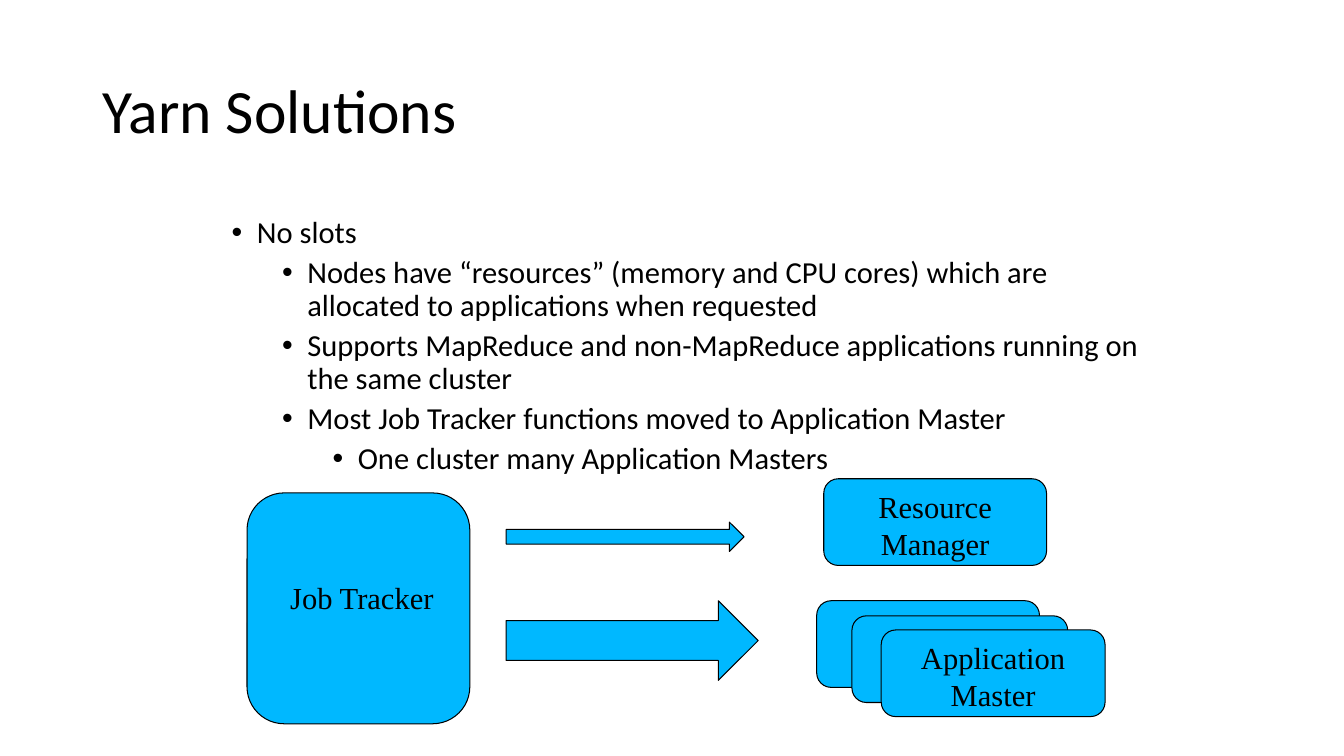
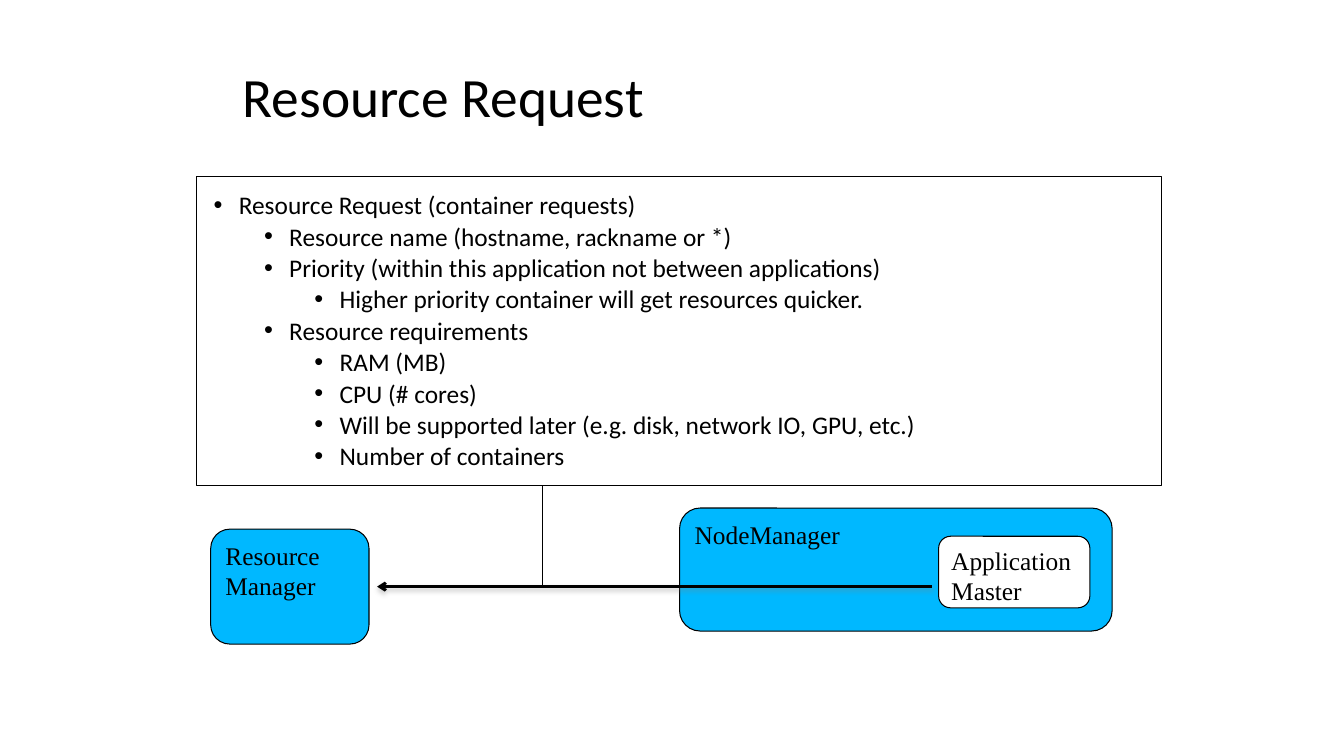
from lxml import etree
from pptx import Presentation
from pptx.dml.color import RGBColor
from pptx.enum import shapes, text
from pptx.oxml import ns
from pptx.util import Inches, Pt

BLACK = RGBColor(0x00, 0x00, 0x00)
WHITE = RGBColor(0xFF, 0xFF, 0xFF)
BLUE = RGBColor(0x00, 0xB8, 0xFF)
SHADOW = "808080"
BODY_FONT = "Calibri"
LABEL_FONT = "Times New Roman"
THIN = Pt(0.75)
ROUNDED = shapes.MSO_SHAPE.ROUNDED_RECTANGLE
ARROW = shapes.MSO_SHAPE.RIGHT_ARROW
CENTER = text.PP_ALIGN.CENTER
LEFT = text.PP_ALIGN.LEFT

SOLUTIONS = [
    (0, "No slots"),
    (1, "Nodes have “resources” (memory and CPU cores) which are allocated to applications when requested"),
    (1, "Supports MapReduce and non-MapReduce applications running on the same cluster"),
    (1, "Most Job Tracker functions moved to Application Master"),
    (2, "One cluster many Application Masters"),
]
REQUEST = [
    (0, "Resource Request (container requests)"),
    (1, "Resource name (hostname, rackname or *)"),
    (1, "Priority (within this application not between applications)"),
    (2, "Higher priority container will get resources quicker."),
    (1, "Resource requirements"),
    (2, "RAM (MB)"),
    (2, "CPU (# cores)"),
    (2, "Will be supported later (e.g. disk, network IO, GPU, etc.)"),
    (2, "Number of containers"),
]


def add_xml(parent, tag, **attributes):
    return etree.SubElement(parent, ns.qn(tag), attributes)


def set_font(para, name, size):
    para.font.name = name
    para.font.size = Pt(size)
    para.font.color.rgb = BLACK


def add_textbox(page, bounds):
    frame = page.shapes.add_textbox(*map(Inches, bounds)).text_frame
    frame.word_wrap = True
    return frame


def add_title(page, bounds, title, size):
    frame = add_textbox(page, bounds)
    frame.vertical_anchor = text.MSO_ANCHOR.MIDDLE
    para = frame.paragraphs[0]
    para.text = title
    para.line_spacing = 0.9
    set_font(para, BODY_FONT, size)


def add_bullets(page, bounds, items, size, spacing):
    frame = add_textbox(page, bounds)
    for index, (level, words) in enumerate(items):
        para = frame.add_paragraph() if index else frame.paragraphs[0]
        para.text = words
        para.level = level
        para.line_spacing = spacing
        para.space_before = Pt(5 if index else 0)
        properties = para._p.get_or_add_pPr()
        properties.set("marL", str(Inches(0.25 + 0.5 * level)))
        properties.set("indent", str(Inches(-0.25)))
        add_xml(properties, "a:buFont", typeface="Arial")
        add_xml(properties, "a:buChar", char="•")
        set_font(para, BODY_FONT, size)


def add_block(page, kind, bounds, fill=BLUE):
    block = page.shapes.add_shape(kind, *map(Inches, bounds))
    block.shadow.inherit = False
    if fill is None:
        block.fill.background()
    else:
        block.fill.solid()
        block.fill.fore_color.rgb = fill
    block.line.color.rgb = BLACK
    block.line.width = THIN
    return block


def add_label(block, words, size, align=LEFT, left=0.09, top=0.05):
    frame = block.text_frame
    frame.word_wrap = True
    frame.vertical_anchor = text.MSO_ANCHOR.TOP
    frame.margin_left, frame.margin_top = Inches(left), Inches(top)
    frame.margin_right, frame.margin_bottom = Inches(0.09), Inches(0.05)
    para = frame.paragraphs[0]
    para.text = words
    para.alignment = align
    set_font(para, LABEL_FONT, size)


def add_line(page, start, end, width=THIN):
    line = page.shapes.add_connector(
        shapes.MSO_CONNECTOR.STRAIGHT, *map(Inches, start + end))
    line.line.color.rgb = BLACK
    line.line.width = width
    effects = add_xml(line._element.spPr, "a:effectLst")
    return line, effects


def add_shadowed_arrow(page, start, end):
    arrow, effects = add_line(page, start, end, Pt(2))
    add_xml(arrow.line._get_or_add_ln(), "a:tailEnd", type="arrow")
    shadow = add_xml(effects, "a:outerShdw", blurRad=str(Pt(3.1)),
                     dist=str(Pt(1.6)), dir="5400000", rotWithShape="0")
    color = add_xml(shadow, "a:srgbClr", val=SHADOW)
    add_xml(color, "a:alpha", val="38000")


def build_solutions(page):
    size = 21.8
    add_title(page, (0.92, 0.4, 11.5, 1.45), "Yarn Solutions", 44)
    add_bullets(page, (2.2, 2.11, 9.45, 3.4), SOLUTIONS, size, 0.9)
    tracker = add_block(page, ROUNDED, (2.45, 4.89, 2.21, 2.29))
    add_label(tracker, "Job Tracker", size, left=0.32, top=0.75)
    manager = add_block(page, ROUNDED, (8.17, 4.75, 2.21, 0.86))
    add_label(manager, "Resource Manager", size, CENTER)
    for left, top, width in ((8.1, 5.96, 2.21), (8.45, 6.11, 2.14), (8.74, 6.25, 2.22)):
        master = add_block(page, ROUNDED, (left, top, width, 0.86))
    add_label(master, "Application Master", size, CENTER)
    for top, width, height in ((5.18, 2.36, 0.29), (5.96, 2.5, 0.79)):
        add_block(page, ARROW, (5.02, top, width, height))


def build_request(page):
    size = 18.1
    add_block(page, shapes.MSO_SHAPE.RECTANGLE, (1.95, 1.75, 9.57, 3.07), None)
    add_title(page, (2.31, 0.61, 8.9, 0.76), "Resource Request", 39.6)
    for words, bounds, fill in (
        ("NodeManager", (6.74, 5.04, 4.29, 1.22), BLUE),
        ("Application Master", (9.31, 5.32, 1.5, 0.71), WHITE),
        ("Resource Manager", (2.09, 5.25, 1.57, 1.14), BLUE),
    ):
        add_label(add_block(page, ROUNDED, bounds, fill), words, size)
    add_shadowed_arrow(page, (9.24, 5.82), (3.74, 5.82))
    add_bullets(page, (2.02, 1.89, 9.45, 2.86), REQUEST, size, 0.8)
    add_line(page, (5.38, 4.82), (5.38, 5.82))


def main():
    deck = Presentation()
    deck.slide_width, deck.slide_height = Inches(13.33), Inches(7.5)
    for build in (build_solutions, build_request):
        build(deck.slides.add_slide(deck.slide_layouts[6]))
    deck.save("out.pptx")


if __name__ == "__main__":
    main()
